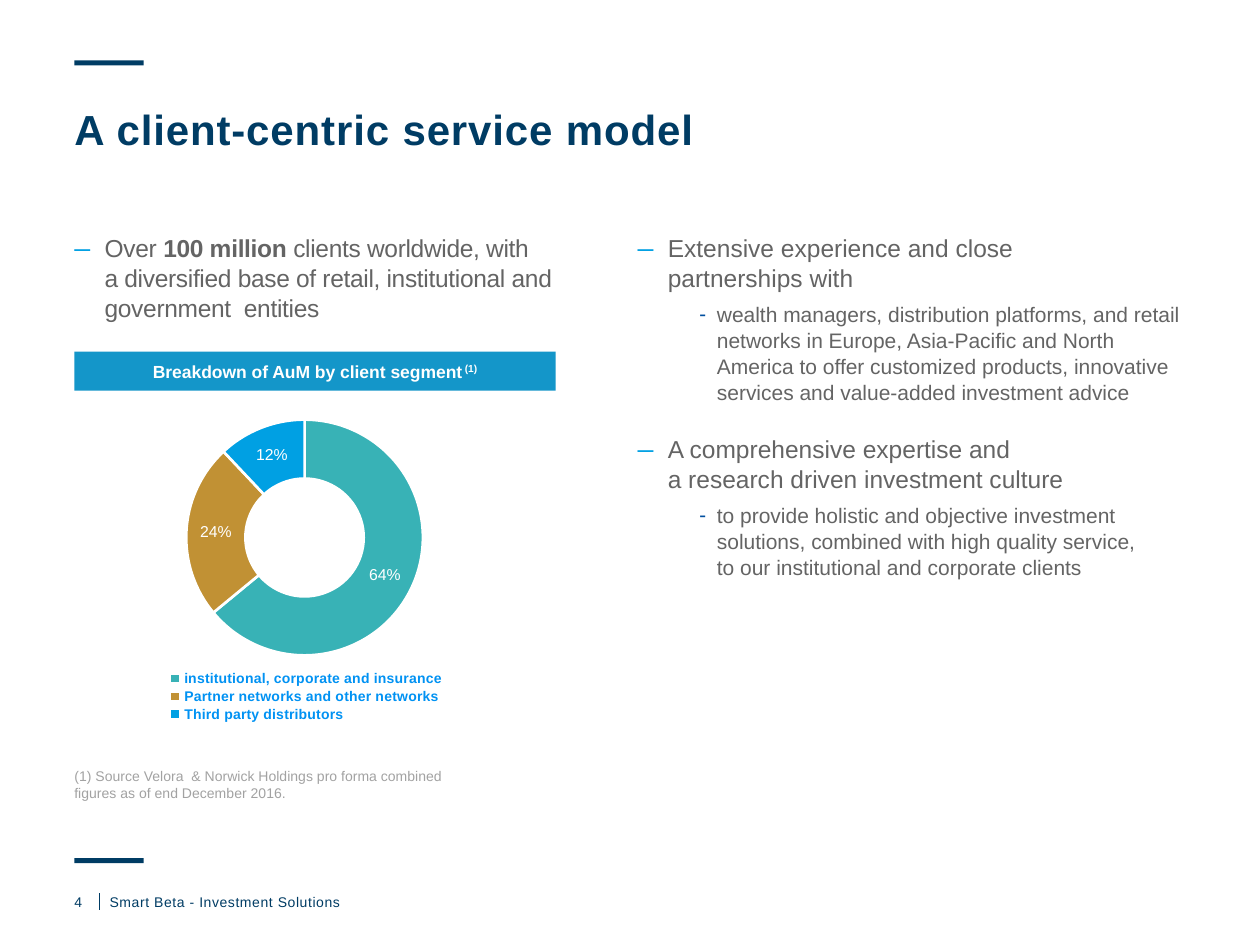
from dataclasses import dataclass, field
from typing import NamedTuple

from lxml.etree import SubElement
from pptx import Presentation
from pptx.chart.data import CategoryChartData
from pptx.dml.color import RGBColor
from pptx.enum.chart import XL_CHART_TYPE, XL_LEGEND_POSITION
from pptx.enum.shapes import MSO_CONNECTOR, MSO_SHAPE
from pptx.enum.text import MSO_ANCHOR, MSO_AUTO_SIZE, PP_ALIGN
from pptx.oxml import parse_xml
from pptx.oxml.ns import nsdecls, qn
from pptx.util import Inches, Pt

WIDTH, HEIGHT = Inches(10), Inches(7.5)
NAVY, GREY, PALE, WHITE = "003C64", "646464", "A2A2A2", "FFFFFF"
TEAL, GOLD, SKY = "38B2B6", "C19134", "00A0E3"
LEFT, RIGHT = 5.9, 50.6


class Area(NamedTuple):
    """Left, top, width and height in percent of the slide's size."""
    left: float
    top: float
    width: float
    height: float

    def lengths(self) -> list[int]:
        sides = (WIDTH, HEIGHT, WIDTH, HEIGHT)
        return [round(share * side / 100) for share, side in zip(self, sides)]


class Span(NamedTuple):
    text: str
    bold: bool = False
    baseline: int = 0


class Bullet(NamedTuple):
    level: int
    symbol: str
    color: str
    percent: int
    margin: float
    hang: float


@dataclass
class Paragraph:
    spans: list[Span]
    size: float
    color: str
    spacing: float = 0
    bullet: Bullet | None = None
    layout: dict = field(default_factory=dict)


DASH = Bullet(0, "⎯", SKY, 130, 0.24, 0.24)
HYPHEN = Bullet(1, "⁃", "004F9F", 100, 0.63, 0.14)


def rgb(color: str) -> RGBColor:
    return RGBColor.from_string(color)


def apply(target, values: dict) -> None:
    for name, value in values.items():
        setattr(target, name, value)


def style_font(font, size: float, color: str, bold: bool = False) -> None:
    apply(font, {"name": "Arial", "size": Pt(size), "bold": bold})
    font.color.rgb = rgb(color)


def add_bullet(para, bullet: Bullet) -> None:
    para.level = bullet.level
    properties = para._p.get_or_add_pPr()
    properties.set("marL", str(Inches(bullet.margin)))
    properties.set("indent", str(-Inches(bullet.hang)))
    color = SubElement(properties, qn("a:buClr"))
    SubElement(color, qn("a:srgbClr"), val=bullet.color)
    SubElement(properties, qn("a:buSzPct"), val=str(bullet.percent * 1000))
    SubElement(properties, qn("a:buFont"), typeface="Arial")
    SubElement(properties, qn("a:buChar"), char=bullet.symbol)


def write(box, paragraphs: list[Paragraph], inset: tuple = (0, 0),
          anchor=MSO_ANCHOR.TOP) -> None:
    frame = box.text_frame
    across, down = map(Inches, inset)
    apply(frame, {"word_wrap": True, "auto_size": MSO_AUTO_SIZE.NONE,
                  "vertical_anchor": anchor, "margin_left": across,
                  "margin_right": across, "margin_top": down, "margin_bottom": down})
    for index, content in enumerate(paragraphs):
        para = frame.add_paragraph() if index else frame.paragraphs[0]
        if content.bullet:
            add_bullet(para, content.bullet)
        apply(para, {"space_before": Pt(0), "alignment": PP_ALIGN.LEFT} | content.layout)
        for span in content.spans:
            for row, line in enumerate(span.text.split("\n")):
                if row:
                    para.add_line_break()
                run = para.add_run()
                run.text = line
                style_font(run.font, content.size, content.color, span.bold)
                properties = run._r.get_or_add_rPr()
                if content.spacing:
                    properties.set("spc", str(round(content.spacing * 100)))
                if span.baseline:
                    properties.set("baseline", str(span.baseline * 1000))


def place(box, area: Area) -> None:
    apply(box, dict(zip(("left", "top", "width", "height"), area.lengths())))


def add_text(page, area: Area, paragraph: Paragraph) -> None:
    write(page.shapes.add_textbox(*area.lengths()), [paragraph])


def add_bar(page, area: Area, color: str, kind=MSO_SHAPE.RECTANGLE):
    bar = page.shapes.add_shape(kind, *area.lengths())
    bar.shadow.inherit = False
    bar.fill.solid()
    bar.fill.fore_color.rgb = rgb(color)
    bar.line.fill.background()
    return bar


def add_divider(page, area: Area) -> None:
    left, top, width, height = area.lengths()
    line = page.shapes.add_connector(MSO_CONNECTOR.STRAIGHT, left, top,
                                     left + width, top + height)
    line.line.color.rgb = rgb(NAVY)
    line.line.width = Pt(0.5)
    SubElement(line._element.spPr, qn("a:effectLst"))


def chart_layout(target: str, x: float, y: float, w: float, h: float):
    inner = '<c:layoutTarget val="inner"/>' if target == "inner" else ""
    sizes = "".join(f'<c:{name} val="{value}"/>' for name, value in zip("xywh", (x, y, w, h)))
    return parse_xml(f'<c:layout {nsdecls("c")}><c:manualLayout>{inner}<c:xMode val="edge"/>'
                     f'<c:yMode val="edge"/>{sizes}</c:manualLayout></c:layout>')


def set_layout(parent, layout, before: int) -> None:
    for old in parent.findall(qn("c:layout")):
        parent.remove(old)
    parent.insert(before, layout)


def add_segments(page, area: Area, segments: list[tuple[str, int, str]]) -> None:
    data = CategoryChartData()
    data.categories = [name for name, _, _ in segments]
    data.add_series("Series 1", [value for _, value, _ in segments])
    chart = page.shapes.add_chart(XL_CHART_TYPE.DOUGHNUT, *area.lengths(), data).chart
    style_font(chart.font, 10, NAVY)
    apply(chart, {"has_title": False, "has_legend": True})
    apply(chart.legend, {"position": XL_LEGEND_POSITION.BOTTOM, "include_in_layout": False})
    style_font(chart.legend.font, 8, "0092F3", True)
    set_layout(chart.legend._element, chart_layout("outer", 0.17, 0.76, 0.66, 0.17), 1)
    plot = chart.plots[0]
    for index, (_, _, color) in enumerate(segments):
        form = plot.series[0].points[index].format
        form.fill.solid()
        form.fill.fore_color.rgb = rgb(color)
        form.line.color.rgb = rgb(WHITE)
        form.line.width = Pt(1.5)
    labels = plot.series[0].data_labels
    apply(labels, {"show_percentage": True, "show_value": False, "number_format": "0%",
                   "number_format_is_linked": False})
    style_font(labels.font, 9, WHITE)
    plot._element.find(qn("c:holeSize")).set("val", "60")
    set_layout(plot._element.getparent(), chart_layout("inner", 0.22, 0, 0.55, 0.72), 0)


def list_item(bullet: Bullet, *spans: Span, before: float = 0, spacing: float = 0) -> Paragraph:
    size = 12 if bullet.level else 14
    return Paragraph(list(spans), size, GREY, spacing, bullet,
                     {"space_before": Pt(before), "line_spacing": 1.03})


def main() -> None:
    deck = Presentation()
    apply(deck, {"slide_width": WIDTH, "slide_height": HEIGHT})
    page = deck.slides.add_slide(deck.slide_layouts[3])
    title, clients, services = page.placeholders

    for top in (6.4, 90.8):
        add_bar(page, Area(LEFT, top, 5.5, 0.53), NAVY)
    add_divider(page, Area(7.9, 94.53, 0, 1.74))

    place(title, Area(LEFT, 11.6, 88.2, 5.73))
    write(title, [Paragraph([Span("A client-centric service model", True)], 24, NAVY, 0.5,
                            layout={"line_spacing": 0.9})])
    place(clients, Area(LEFT, 24.53, 43.5, 60.53))
    write(clients, [list_item(
        DASH, Span("Over "), Span("100 million ", True),
        Span("clients worldwide, with \na diversified base of retail, institutional and "
             "government  entities"), spacing=-0.2)])
    place(services, Area(RIGHT, 24.53, 43.5, 56.13))
    write(services, [
        list_item(DASH, Span("Extensive experience and close \npartnerships with")),
        list_item(HYPHEN, Span("wealth managers, distribution platforms, and retail networks in "
                               "Europe, Asia-Pacific and North America to offer customized "
                               "products, innovative services and value-added investment "
                               "advice"), before=5),
        list_item(DASH, Span("A comprehensive expertise and \n"
                             "a research driven investment culture"), before=16),
        list_item(HYPHEN, Span("to provide holistic and objective investment solutions, combined "
                               "with high quality service, \nto our institutional and corporate "
                               "clients"), before=5)])

    heading = add_bar(page, Area(LEFT, 37.2, 38.2, 4.13), "1496C9", MSO_SHAPE.ROUNDED_RECTANGLE)
    heading.adjustments[0] = 0
    write(heading, [Paragraph([Span("Breakdown of AuM by client segment", True),
                               Span(" (1)", True, 30)], 10, WHITE,
                              layout={"alignment": PP_ALIGN.CENTER})],
          (0.1, 0.07), MSO_ANCHOR.MIDDLE)
    add_segments(page, Area(7.2, 44.27, 34.3, 34.8), [
        ("institutional, corporate and insurance", 64, TEAL),
        ("Partner networks and other networks", 24, GOLD),
        ("Third party distributors", 12, SKY)])

    source = ("(1) Source Velora  & Norwick Holdings pro forma combined figures "
              "as of end December 2016.")
    add_text(page, Area(LEFT, 81.2, 31.2, 3.6), Paragraph([Span(source)], 8, PALE))
    add_text(page, Area(LEFT, 94.53, 2, 2.67), Paragraph([Span("4")], 8, NAVY))
    add_text(page, Area(8.7, 94.53, 57, 2.67),
             Paragraph([Span("Smart Beta - Investment Solutions")], 8, NAVY, 0.3))
    deck.save("out.pptx")


if __name__ == "__main__":
    main()
